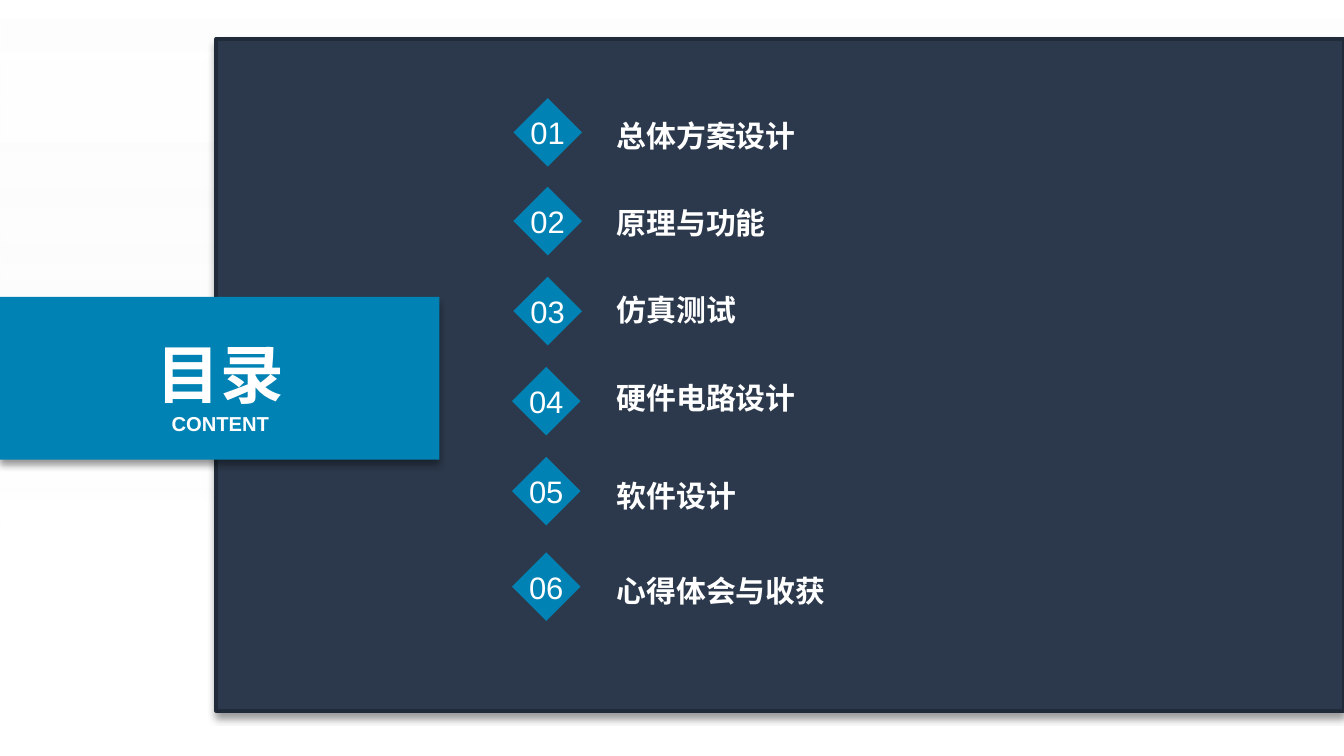
from dataclasses import dataclass

from lxml import etree
from pptx import Presentation
from pptx import util as u
from pptx.dml.color import RGBColor
from pptx.enum import shapes, text
from pptx.oxml import parse_xml
from pptx.oxml.ns import nsdecls, qn
from pptx.shapes.autoshape import Shape
from pptx.slide import Slide


@dataclass(frozen=True)
class Theme:
    font: str = "Arial"
    white: str = "FFFFFF"
    haze: str = "F2F2F2"
    navy: str = "2C394C"
    navy_edge: str = "212A38"
    blue: str = "0083B4"
    title_size: float = 34.1
    subtitle_size: float = 10.8
    number_size: float = 16.6
    label_size: float = 16


@dataclass(frozen=True)
class Box:
    left: float
    top: float
    width: float
    height: float

    def lengths(self) -> list[u.Length]:
        return [u.Inches(v) for v in (self.left, self.top, self.width, self.height)]


@dataclass(frozen=True)
class Entry:
    label: str
    diamond_left: float
    diamond_top: float
    label_top: float
    label_height: float


THEME = Theme()
DIAMOND_SIZE = 0.51
ENTRIES = [
    Entry("总体方案设计", 3.82, 0.73, 0.78, 0.36),
    Entry("原理与功能", 3.82, 1.39, 1.39, 0.40),
    Entry("仿真测试", 3.82, 2.06, 2.09, 0.35),
    Entry("硬件电路设计", 3.81, 2.73, 2.76, 0.33),
    Entry("软件设计", 3.81, 3.40, 3.43, 0.39),
    Entry("心得体会与收获", 3.81, 4.11, 4.14, 0.39),
]
TIGHT = dict(margin_left=0, margin_right=0, margin_top=0, margin_bottom=0,
             word_wrap=False)
CENTERED = dict(TIGHT, vertical_anchor=text.MSO_ANCHOR.MIDDLE)
INDENTED = dict(TIGHT, margin_left=u.Inches(0.39),
                vertical_anchor=text.MSO_ANCHOR.BOTTOM)
CAPTION = dict(margin_left=u.Inches(0.1), margin_right=u.Inches(0.1),
               margin_top=u.Inches(0.05), margin_bottom=u.Inches(0.05),
               word_wrap=True, vertical_anchor=text.MSO_ANCHOR.TOP,
               auto_size=text.MSO_AUTO_SIZE.NONE)


def apply(target: object, values: dict) -> None:
    for name, value in values.items():
        setattr(target, name, value)


def write(shape: Shape, words: str, size: float, frame_format: dict,
          bold: bool = True, align: text.PP_ALIGN = text.PP_ALIGN.CENTER) -> None:
    frame = shape.text_frame
    apply(frame, frame_format)
    paragraph = frame.paragraphs[0]
    paragraph.alignment = align
    run = paragraph.add_run()
    run.text = words
    apply(run.font, dict(name=THEME.font, size=u.Pt(size), bold=bold))
    run.font.color.rgb = RGBColor.from_string(THEME.white)


def add_block(slide: Slide, box: Box, color: str,
              kind: shapes.MSO_SHAPE = shapes.MSO_SHAPE.RECTANGLE) -> Shape:
    shape = slide.shapes.add_shape(kind, *box.lengths())
    shape.shadow.inherit = False
    shape.fill.solid()
    shape.fill.fore_color.rgb = RGBColor.from_string(color)
    shape.line.fill.background()
    return shape


def add_shadow(shape: Shape) -> None:
    effects = shape.element.spPr.find(qn("a:effectLst"))
    effects.append(parse_xml(
        f'<a:outerShdw {nsdecls("a")} blurRad="{u.Pt(4)}" dist="{u.Pt(3)}" '
        'dir="5400000" algn="t" rotWithShape="0">'
        '<a:srgbClr val="000000"><a:alpha val="40000"/></a:srgbClr></a:outerShdw>'))


def add_haze(slide: Slide) -> None:
    haze = add_block(slide, Box(0, 0, 10, 5.63), THEME.white)
    haze.fill.gradient()
    haze.fill.gradient_angle = 270
    for stop, position, color in zip(haze.fill.gradient_stops, (0, 0.71),
                                     (THEME.white, THEME.haze)):
        stop.position = position
        stop.color.rgb = RGBColor.from_string(color)
    for node, opacity in zip(haze.element.spPr.iter(qn("a:srgbClr")), (55, 0)):
        etree.SubElement(node, qn("a:alpha"), val=str(opacity * 1000))


def add_entry(slide: Slide, number: int, entry: Entry) -> None:
    diamond = add_block(
        slide, Box(entry.diamond_left, entry.diamond_top, DIAMOND_SIZE, DIAMOND_SIZE),
        THEME.blue, shapes.MSO_SHAPE.DIAMOND)
    write(diamond, f"{number:02d}", THEME.number_size, CENTERED, bold=False)
    box = Box(4.2, entry.label_top, 3.25, entry.label_height)
    label = slide.shapes.add_textbox(*box.lengths())
    write(label, entry.label, THEME.label_size, INDENTED, align=text.PP_ALIGN.LEFT)


def main() -> None:
    presentation = Presentation()
    presentation.slide_width = u.Inches(10)
    presentation.slide_height = presentation.slide_width * 9 // 16
    slide = presentation.slides.add_slide(presentation.slide_layouts[5])

    # Backdrop and dark panel
    add_haze(slide)
    panel = add_block(slide, Box(1.61, 0.29, 8.39, 5), THEME.navy)
    panel.line.color.rgb = RGBColor.from_string(THEME.navy_edge)
    panel.line.width = u.Pt(2)
    add_shadow(panel)

    # Numbered contents
    for number, entry in enumerate(ENTRIES, start=1):
        add_entry(slide, number, entry)

    # Title banner, with the title placeholder brought in front of it
    banner = add_block(slide, Box(0, 2.21, 3.27, 1.21), THEME.blue)
    add_shadow(banner)
    title = slide.shapes.title
    slide.shapes.element.append(title.element)
    place = Box(1.06, 2.44, 1.16, 0.63).lengths()
    apply(title, dict(zip(("left", "top", "width", "height"), place)))
    write(title, "目录", THEME.title_size, CAPTION)
    subtitle = slide.shapes.add_textbox(*Box(1.06, 3.01, 1.16, 0.25).lengths())
    write(subtitle, "CONTENT", THEME.subtitle_size, CAPTION)

    presentation.save("out.pptx")


if __name__ == "__main__":
    main()
